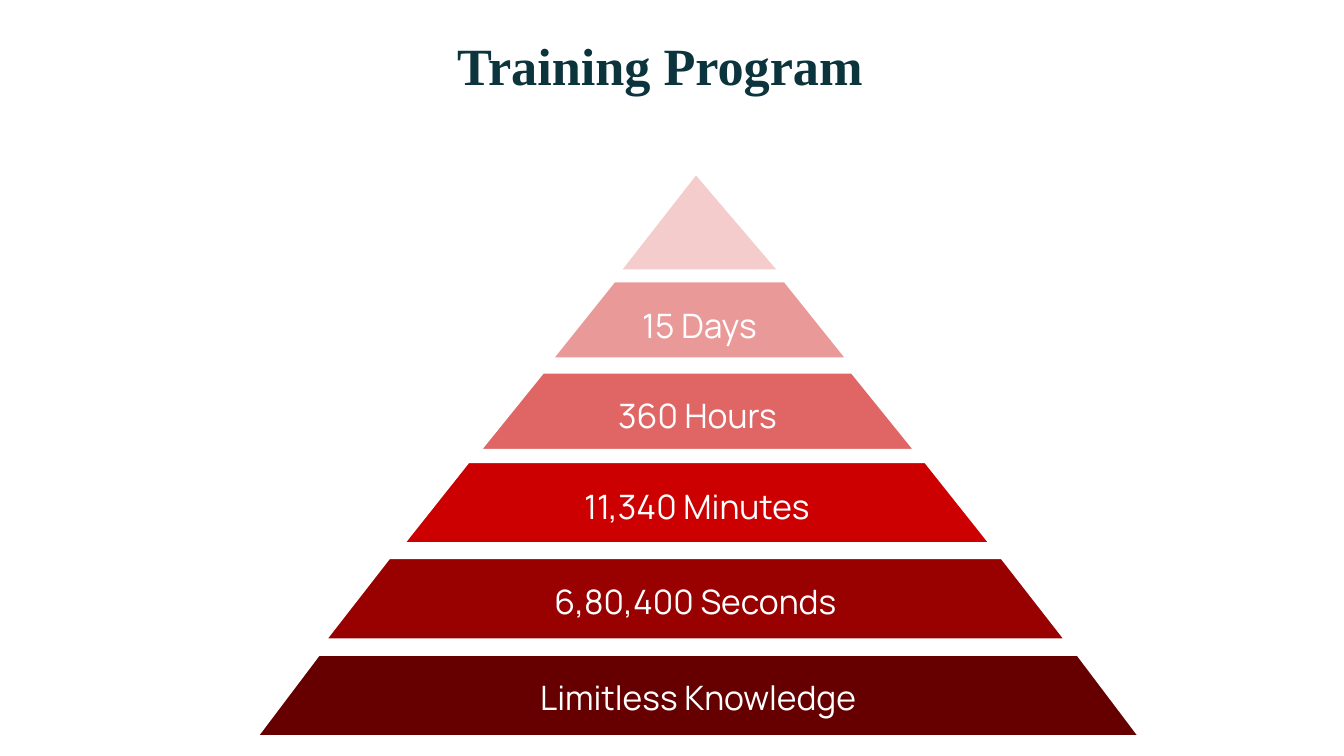
from pptx import Presentation
from pptx.dml.color import RGBColor
from pptx.enum.shapes import MSO_SHAPE
from pptx.enum.text import MSO_ANCHOR, MSO_AUTO_SIZE, PP_ALIGN
from pptx.util import Emu, Pt

EMU_PER_PX = 4572
WHITE = "FFFFFF"
TIERS = [
    ("6,80,400 Seconds", (482, 829, 1106, 124), 0.779, "990000"),
    ("11,340 Minutes", (598, 686, 878, 124), 0.794, "CC0000"),
    ("360 Hours", (712, 553, 652, 118), 0.808, "E06666"),
    ("15 Days", (819, 417, 444, 118), 0.801, "EA9999"),
    ("Limitless Knowledge", (380, 973, 1318, 124), 0.755, "660000"),
]


def px(length):
    """Turn whole px into EMU."""
    return Emu(length * EMU_PER_PX)


def color(value):
    """Turn a hex string into a colour."""
    return RGBColor.from_string(value)


def write_text(shape, text, size=18, font="Manrope", fill=WHITE, bold=False,
               anchor=MSO_ANCHOR.MIDDLE, margins=(14, 8)):
    """Write one centred line of text into a shape."""
    frame = shape.text_frame
    frame.word_wrap = True
    frame.vertical_anchor = anchor
    frame.margin_left = frame.margin_right = px(margins[0])
    frame.margin_top = frame.margin_bottom = px(margins[1])
    para = frame.paragraphs[0]
    para.alignment = PP_ALIGN.CENTER
    span = para.add_run()
    span.text = text
    span.font.size = Pt(size)
    span.font.name = font
    span.font.bold = bold
    span.font.color.rgb = color(fill)


def add_title(page, text):
    """Add the page title."""
    box = page.shapes.add_textbox(*map(px, (268, 30, 1428, 134)))
    write_text(box, text, size=28, font="Times New Roman", fill="0C343D",
               bold=True, anchor=MSO_ANCHOR.TOP, margins=(20, 20))
    box.text_frame.auto_size = MSO_AUTO_SIZE.SHAPE_TO_FIT_TEXT


def add_tier(page, kind, place, slant, fill):
    """Add one white-edged layer of the pyramid."""
    tier = page.shapes.add_shape(kind, *map(px, place))
    tier.adjustments[0] = slant
    tier.shadow.inherit = False
    tier.fill.solid()
    tier.fill.fore_color.rgb = color(fill)
    tier.line.color.rgb = color(WHITE)
    tier.line.width = Pt(2.25)
    return tier


def main():
    """Build and save the deck."""
    deck = Presentation()
    deck.slide_width, deck.slide_height = px(2000), px(1125)
    page = deck.slides.add_slide(deck.slide_layouts[6])
    for text, place, slant, fill in TIERS:
        tier = add_tier(page, MSO_SHAPE.TRAPEZOID, place, slant, fill)
        write_text(tier, text)
    add_tier(page, MSO_SHAPE.ISOSCELES_TRIANGLE, (920, 256, 242, 148), 0.478, "F4CCCC")
    add_title(page, "Training Program")
    deck.save("out.pptx")


if __name__ == "__main__":
    main()
